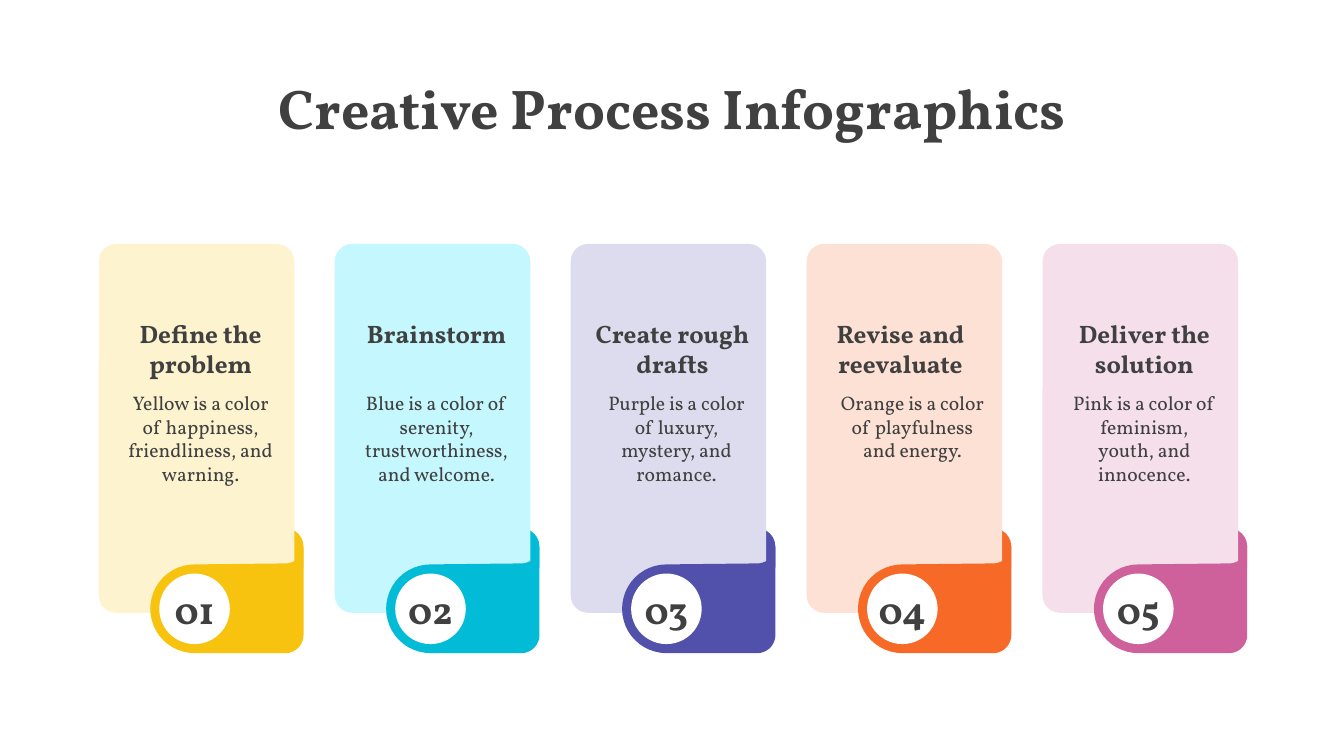
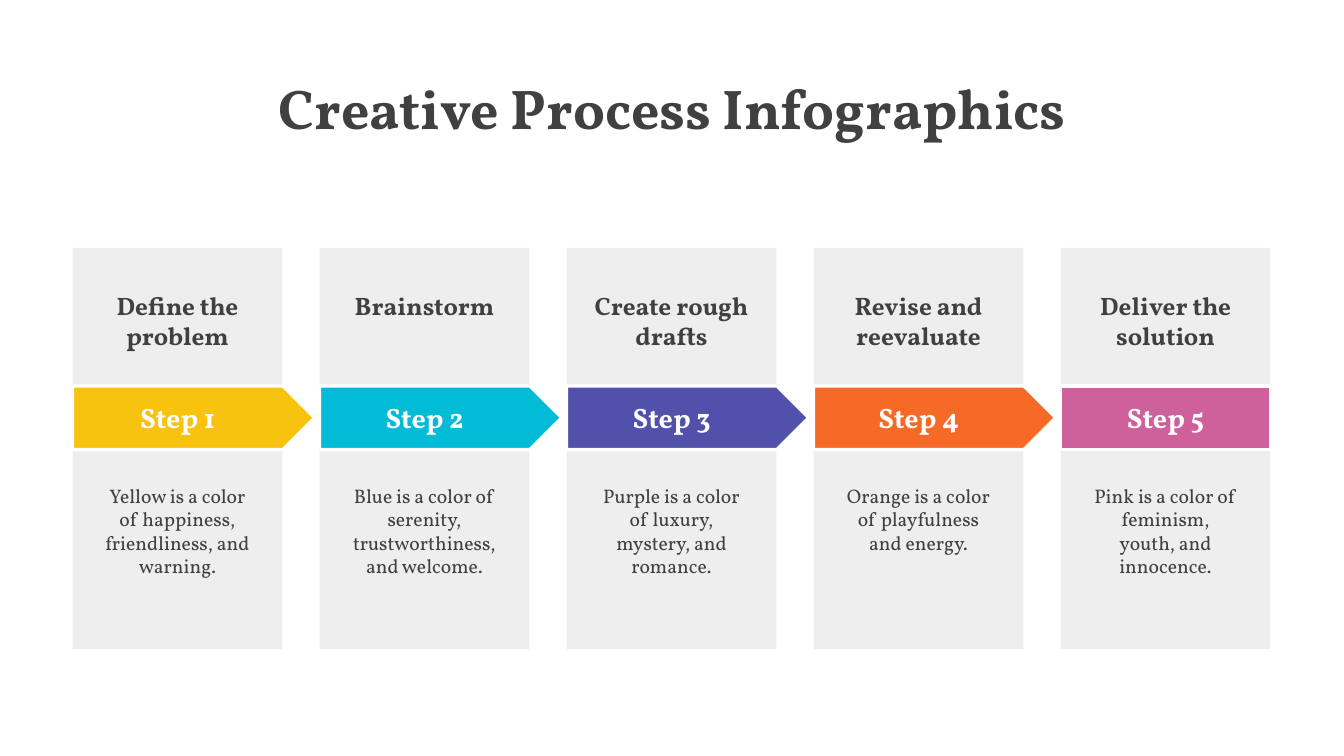
from math import cos, radians, sin

from pptx import Presentation
from pptx.dml.color import RGBColor
from pptx.enum.shapes import MSO_SHAPE
from pptx.enum.text import MSO_ANCHOR, MSO_AUTO_SIZE, PP_ALIGN
from pptx.oxml.ns import qn
from pptx.text.text import Font
from pptx.util import Inches, Pt

FONT = "Vollkorn"
COLORS = {"text": "404040", "white": "FFFFFF", "panel": "EEEEEE"}
TITLE = "Creative Process Infographics"

# Heading, description, strong colour, pale colour, description width,
# heading and description shifts from the centre of a card
STEPS = [
    ("Define the problem", "Yellow is a color of happiness, friendliness, and warning.",
     "F7C30F", "FDF3CF", 1.64, 0, 0),
    ("Brainstorm", "Blue is a color of serenity, trustworthiness, and welcome.",
     "02BBD6", "C5F7FE", 1.73, 0, 0),
    ("Create rough drafts", "Purple is a color of luxury, mystery, and romance.",
     "5151AB", "DCDCEE", 1.68, 0, 0.04),
    ("Revise and reevaluate", "Orange is a color of playfulness and energy.",
     "F76927", "FDE1D4", 1.73, -0.08, 0.04),
    ("Deliver the solution", "Pink is a color of feminism, youth, and innocence.",
     "CE609C", "F5DFEB", 1.64, 0, 0),
]


def paint(shape, fill, border=None):
    shape.shadow.inherit = False
    shape.fill.solid()
    shape.fill.fore_color.rgb = RGBColor.from_string(fill)
    if border:
        shape.line.color.rgb = RGBColor.from_string(border)
        shape.line.width = Pt(2.25)
    else:
        shape.line.fill.background()


def write(shape, text, size, color="text", bold=True, anchor=MSO_ANCHOR.TOP):
    """Put one centred paragraph of formatted text in a shape."""
    frame = shape.text_frame
    frame.text = text
    frame.word_wrap = True
    frame.vertical_anchor = anchor
    paragraph = frame.paragraphs[0]
    paragraph.alignment = PP_ALIGN.CENTER
    font = paragraph.runs[0].font
    font.name, font.size, font.bold = FONT, Pt(size), bold
    font.color.rgb = RGBColor.from_string(COLORS[color])


prs = Presentation()
prs.slide_width, prs.slide_height = Inches(13.33), Inches(7.5)

# Shared title style
layout = prs.slide_layouts[5]
title_area = layout.placeholders[0]
title_area.left, title_area.top = 0, int(prs.slide_height * 0.09)
title_area.width, title_area.height = prs.slide_width, Inches(0.77)
title_area.text_frame.vertical_anchor = MSO_ANCHOR.TOP
title_area.text_frame.auto_size = MSO_AUTO_SIZE.NONE
title_style = prs.slide_master.element.find(".//" + qn("p:titleStyle"))
title_font = Font(title_style.find(".//" + qn("a:defRPr")))
title_font.name, title_font.size, title_font.bold = FONT, Pt(40), True
title_font.color.rgb = RGBColor.from_string(COLORS["text"])

cards_slide, arrows_slide = [prs.slides.add_slide(layout) for _ in range(2)]
for slide in (cards_slide, arrows_slide):
    slide.shapes.title.text_frame.text = TITLE

# Slide 1: cards with numbered tabs
CARD_LEFT, CARD_PITCH, CARD_WIDTH = 0.98, 2.34, 1.94
TAB_RIGHT, TAB_CORNER, HEADING_WIDTH, CIRCLE = 2.03, 0.18, 1.8, 0.7
TAB_MIDDLE = 6.04
# Centre x, centre y, radius, first and last angle of each arc of the tab
TAB_ARCS = [
    (TAB_RIGHT - TAB_CORNER, 5.41, TAB_CORNER, 0, 90),
    (0.95, TAB_MIDDLE, 0.44, 270, 90),
    (TAB_RIGHT - TAB_CORNER, 6.3, TAB_CORNER, 90, 0),
]
shapes = cards_slide.shapes
for index, (heading, description, strong, pale, width, heading_shift, shift) in enumerate(STEPS):
    left = CARD_LEFT + index * CARD_PITCH
    center = left + 1.01

    fold = shapes.add_shape(MSO_SHAPE.ROUND_1_RECTANGLE, Inches(left + 0.9), Inches(5.24),
                            Inches(TAB_RIGHT - 0.9), Inches(0.39))
    fold.adjustments[0] = 0.46
    paint(fold, strong)

    card = shapes.add_shape(MSO_SHAPE.ROUNDED_RECTANGLE, Inches(left), Inches(2.42),
                            Inches(CARD_WIDTH), Inches(3.66))
    card.adjustments[0] = 0.09
    paint(card, pale)

    outline = []
    for arc_x, arc_y, radius, first, last in TAB_ARCS:
        for part in range(25):
            angle = radians(first + (last - first) * part / 24)
            outline.append((Inches(left + arc_x + radius * cos(angle)),
                            Inches(arc_y + radius * sin(angle))))
    builder = shapes.build_freeform(*outline[0])
    builder.add_line_segments(outline[1:], close=True)
    paint(builder.convert_to_shape(), strong)

    number = shapes.add_shape(MSO_SHAPE.OVAL, Inches(left + 0.95 - CIRCLE / 2),
                              Inches(TAB_MIDDLE - CIRCLE / 2), Inches(CIRCLE), Inches(CIRCLE))
    paint(number, COLORS["white"])
    write(number, f"{index + 1:02}", 28, anchor=MSO_ANCHOR.MIDDLE)
    number.text_frame.margin_left = number.text_frame.margin_right = 0
    number.text_frame.margin_top = number.text_frame.margin_bottom = 0
    number.text_frame.word_wrap = False

    write(shapes.add_textbox(Inches(center + shift - width / 2), Inches(3.83),
                             Inches(width), Inches(1.04)), description, 14, bold=False)
    write(shapes.add_textbox(Inches(center + heading_shift - HEADING_WIDTH / 2), Inches(3.11),
                             Inches(HEADING_WIDTH), Inches(0.71)), heading, 18)

# Slide 2: panels crossed by a row of arrows
PANEL_LEFT, PANEL_PITCH, PANEL_WIDTH = 0.72, 2.45, 2.08
ARROW_WIDTH, ARROW_HEIGHT = 2.4, 0.63
shapes = arrows_slide.shapes
for index, (heading, description, strong, _, width, _, _) in enumerate(STEPS):
    left = PANEL_LEFT + index * PANEL_PITCH
    center = left + PANEL_WIDTH / 2
    is_last = index == len(STEPS) - 1

    panel = shapes.add_shape(MSO_SHAPE.RECTANGLE, Inches(left), Inches(2.46),
                             Inches(PANEL_WIDTH), Inches(3.98))
    paint(panel, COLORS["panel"])

    step = shapes.add_shape(MSO_SHAPE.RECTANGLE if is_last else MSO_SHAPE.PENTAGON,
                            Inches(left), Inches(3.83),
                            Inches(PANEL_WIDTH if is_last else ARROW_WIDTH), Inches(ARROW_HEIGHT))
    paint(step, strong, COLORS["white"])
    write(step, f"Step {index + 1}", 20, "white", anchor=MSO_ANCHOR.MIDDLE)
    step.text_frame.margin_left = 0
    step.text_frame.margin_right = Inches(0 if is_last else ARROW_HEIGHT / 4)

    write(shapes.add_textbox(Inches(center - width / 2), Inches(4.75),
                             Inches(width), Inches(1.04)), description, 14, bold=False)
    write(shapes.add_textbox(Inches(left), Inches(2.83),
                             Inches(PANEL_WIDTH), Inches(0.71)), heading, 18)

prs.save("out.pptx")
